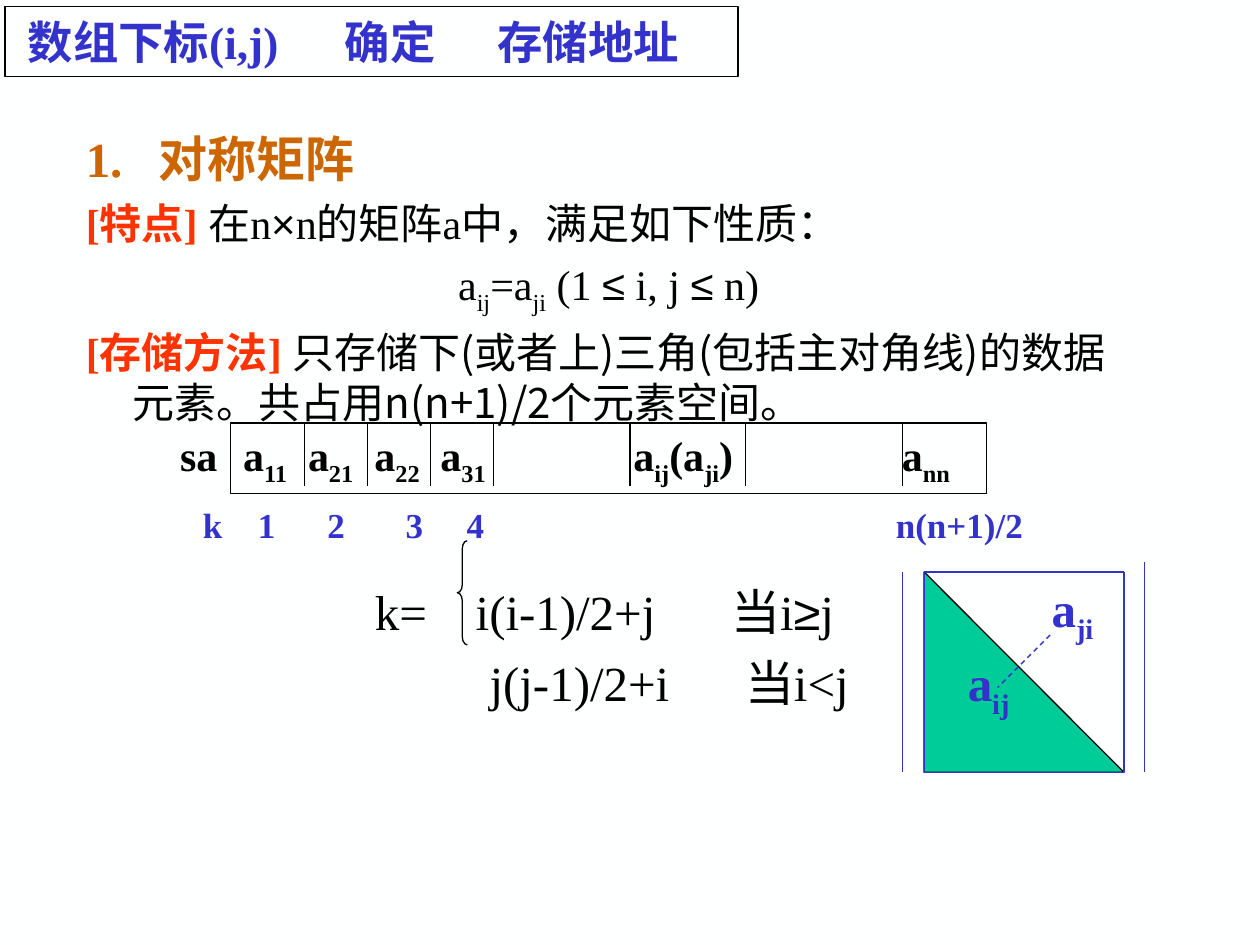
"""Build a slide on storing a symmetric matrix in a one-dimensional array."""
import itertools

import lxml.etree
import pptx
import pptx.dml.color
import pptx.enum.dml
import pptx.enum.shapes
import pptx.enum.text
import pptx.oxml.ns
import pptx.util

Cm, Pt = pptx.util.Cm, pptx.util.Pt
rgb = pptx.dml.color.RGBColor.from_string
qn = pptx.oxml.ns.qn
SHAPE = pptx.enum.shapes.MSO_SHAPE
ALIGN = pptx.enum.text.PP_ALIGN
ANCHOR = pptx.enum.text.MSO_ANCHOR
BLACK, BLUE, BROWN, RED, GREEN = "000000", "3333CC", "CC6600", "FF3300", "00CC99"


def write(p, text, size, color, bold=False, name="Times New Roman"):
    """Add text to a paragraph, with subscripts between underscores."""
    for i, part in enumerate(text.split("_")):
        for symbol, chars in itertools.groupby(part, lambda c: c in "×≤≥"):
            r = p.add_run()
            r.text = "".join(chars)
            fmt = {"size": Pt(size), "bold": bold, "name": "Arial" if symbol else name}
            for key, value in fmt.items():
                setattr(r.font, key, value)
            r.font.color.rgb = rgb(color)
            if i % 2:
                r._r.get_or_add_rPr().set("baseline", "-25000")


def draw(kind, x, y, w, h, fill=None, line=BLACK):
    """Add a shape, or a text box if kind is None, and return it."""
    box = Cm(x), Cm(y), Cm(w), Cm(h)
    if kind is None:
        s = shapes.add_textbox(*box)
    else:
        s = shapes.add_shape(kind, *box)
        s.shadow.inherit = False
        s.line.color.rgb = rgb(line)
        s.line.width = Pt(0.75)
        if fill:
            s.fill.solid()
            s.fill.fore_color.rgb = rgb(fill)
        else:
            s.fill.background()
    tf = s.text_frame
    tf.word_wrap = True
    for side in ("left", "top", "right", "bottom"):
        setattr(tf, "margin_" + side, 0)
    return s


prs = pptx.Presentation()
prs.slide_width, prs.slide_height = Cm(25.4), Cm(19.05)
slide = prs.slides.add_slide(prs.slide_layouts[6])
slide.background.fill.solid()
slide.background.fill.fore_color.rgb = rgb("FEFFFF")
shapes = slide.shapes

tf = draw(None, 1.73, 2.59, 21.08, 6).text_frame
body = [
    (1.47, 0, ALIGN.LEFT, [("1.\t对称矩阵", 28, BROWN, True)]),
    (0.95, 6, ALIGN.LEFT, [("[特点] ", 24, RED, True),
                           ("在n×n的矩阵a中，满足如下性质：", 24, BLACK)]),
    (0.95, 6, ALIGN.CENTER, [("a_ij_=a_ji_ (1 ≤ i, j ≤ n)", 24, BLACK)]),
    (0.95, 6, ALIGN.LEFT, [("[存储方法] ", 24, RED, True),
                           ("只存储下(或者上)三角(包括主对角线)的数据元素。共占用n(n+1)/2个元素空间。",
                            24, BLACK, False, "Noto Sans CJK SC")]),
]
for i, (indent, before, align, runs) in enumerate(body):
    p = tf.add_paragraph() if i else tf.paragraphs[0]
    p.alignment, p.space_before = align, Pt(before)
    pPr = p._p.get_or_add_pPr()
    pPr.set("marL", str(Cm(indent)))
    pPr.set("indent", str(-Cm(indent)))
    for run in runs:
        write(p, *run)

s = draw(SHAPE.LEFT_BRACE, 9.22, 10.9, 0.2, 2.1)
s.adjustments[0] = 0.83
draw(SHAPE.RECTANGLE, 4.65, 8.53, 15.24, 1.42)

top, left, right, bottom = 11.53, 18.63, 22.66, 15.57
lines = [(x, 8.53, x, 9.8, BLACK) for x in (6.14, 7.41, 8.68, 9.95, 12.7, 15.03, 18.2)]
lines += [
    (18.2, top, 18.2, bottom, BLUE),
    (23.07, 11.32, 23.07, bottom, BLUE),
    (left, top, right, top, BLUE),
    (right, top, right, bottom, BLUE),
    (left, top, left, bottom, BLUE),
    (left, bottom, right, bottom, BLUE),
    (21.17, 12.8, 20.11, 13.86, BLUE),
]
draw(SHAPE.RIGHT_TRIANGLE, left, top, right - left, bottom - top, GREEN)
for x1, y1, x2, y2, color in lines:
    s = shapes.add_connector(pptx.enum.shapes.MSO_CONNECTOR.STRAIGHT,
                             Cm(x1), Cm(y1), Cm(x2), Cm(y2))
    s.line.color.rgb = rgb(color)
    s.line.width = Pt(0.75)
    lxml.etree.SubElement(s._element.spPr, qn("a:effectLst"))
s.line.dash_style = pptx.enum.dml.MSO_LINE.DASH

rows = [
    (8.66, 24, BLACK, True, [(3.63, "sa"), (4.9, "a_11_"), (6.21, "a_21_"), (7.55, "a_22_"),
                             (8.88, "a_31_"), (12.77, "a_ij_(a_ji_)"), (18.18, "a_nn_")]),
    (10.16, 20, BLUE, True, [(4.09, "k"), (5.2, "1"), (6.6, "2"), (8.18, "3"),
                             (9.41, "4"), (18.06, "n(n+1)/2")]),
    (11.66, 28, BLUE, True, [(21.2, "a_ji_")]),
    (13.16, 28, BLUE, True, [(19.51, "a_ij_")]),
    (11.73, 28, BLACK, False, [(7.56, "k="), (9.59, "i(i-1)/2+j"), (14.74, "当i≥j")]),
    (13.16, 28, BLACK, False, [(9.87, "j(j-1)/2+i"), (15.02, "当i<j")]),
]
for y, size, color, bold, labels in rows:
    for x, text in labels:
        tf = draw(None, x, y, 0.55 * len(text) + 0.4, 1.2).text_frame
        write(tf.paragraphs[0], text, size, color, bold)

tf = draw(SHAPE.RECTANGLE, 0.1, 0.13, 14.78, 1.42).text_frame
tf.margin_left, tf.vertical_anchor = Cm(0.46), ANCHOR.MIDDLE
p = tf.paragraphs[0]
p.alignment = ALIGN.LEFT
tabs = lxml.etree.SubElement(p._p.get_or_add_pPr(), qn("a:tabLst"))
for stop in (6.39, 9.47):
    lxml.etree.SubElement(tabs, qn("a:tab"), pos=str(Cm(stop)), algn="l")
write(p, "数组下标(i,j)\t确定\t存储地址", 25.9, BLUE, True)

prs.save("out.pptx")
